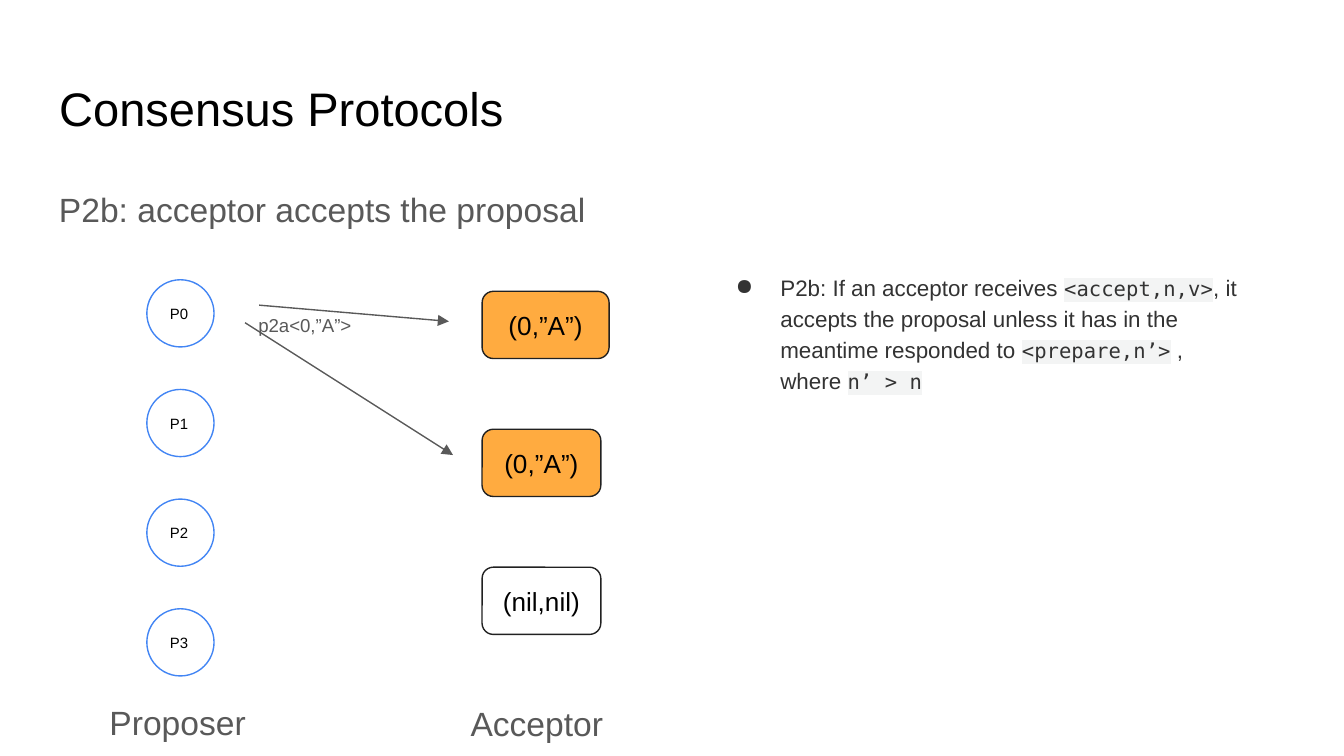
from lxml.etree import SubElement
from pptx import Presentation
from pptx.dml.color import RGBColor
from pptx.enum.shapes import MSO_CONNECTOR, MSO_SHAPE
from pptx.enum.text import MSO_ANCHOR, MSO_AUTO_SIZE, PP_ALIGN
from pptx.oxml import parse_xml
from pptx.oxml.ns import nsdecls, qn
from pptx.util import Pt

COLORS = {
    "black": "000000",
    "white": "FFFFFF",
    "gray": "595959",
    "dark": "333333",
    "outline": "212121",
    "blue": "4285F4",
    "orange": "FFAB40",
    "code": "F3F4F4",
}


def rgb(name):
    return RGBColor.from_string(COLORS[name])


def write(shape, text, size=18, color="gray", font="Arial", align=PP_ALIGN.LEFT,
          anchor=MSO_ANCHOR.TOP, highlight=None):
    """Append a formatted run to the first paragraph of a shape."""
    frame = shape.text_frame
    frame.auto_size = MSO_AUTO_SIZE.NONE
    frame.word_wrap = True
    frame.vertical_anchor = anchor
    frame.margin_left = frame.margin_right = Pt(7.2)
    frame.margin_top = frame.margin_bottom = Pt(7.2)
    paragraph = frame.paragraphs[0]
    paragraph.alignment = align
    run = paragraph.add_run()
    run.text = text
    run.font.size = Pt(size)
    run.font.name = font
    run.font.color.rgb = rgb(color)
    if highlight:
        run.font.fill._xPr.find(qn("a:solidFill")).addnext(parse_xml(
            f'<a:highlight {nsdecls("a")}><a:srgbClr val="{COLORS[highlight]}"/></a:highlight>'))
    return paragraph


presentation = Presentation()
presentation.slide_width = Pt(720)
presentation.slide_height = Pt(405)
slide = presentation.slides.add_slide(presentation.slide_layouts[5])
shapes = slide.shapes

# Title
title = shapes.title
title.left, title.top, title.width, title.height = Pt(24.5), Pt(35.4), Pt(671), Pt(45)
write(title, "Consensus Protocols", size=25.2, color="black")

# Subtitle
subtitle = shapes.add_textbox(Pt(24.5), Pt(90.6), Pt(671), Pt(36))
write(subtitle, "P2b: acceptor accepts the proposal").line_spacing = 1.15

# Proposers and acceptors: shape kind, left, top, width, fill, outline, text, size, alignment
nodes = [
    (MSO_SHAPE.OVAL, 78.7, 149.9 + 58.75 * row, 36, "white", "blue", f"P{row}", 8, PP_ALIGN.LEFT)
    for row in range(4)
]
acceptors = [("(0,”A”)", 68, "orange"), ("(0,”A”)", 63.6, "orange"), ("(nil,nil)", 63.6, "white")]
nodes += [
    (MSO_SHAPE.ROUNDED_RECTANGLE, 258.3, 156.1 + 73.9 * row, width, fill, "outline", text, 14,
     PP_ALIGN.CENTER)
    for row, (text, width, fill) in enumerate(acceptors)
]
for kind, left, top, width, fill, outline, text, size, align in nodes:
    node = shapes.add_shape(kind, Pt(left), Pt(top), Pt(width), Pt(36))
    node.shadow.inherit = False
    node.fill.solid()
    node.fill.fore_color.rgb = rgb(fill)
    node.line.color.rgb = rgb(outline)
    node.line.width = Pt(0.75)
    write(node, text, size=size, color="black", align=align, anchor=MSO_ANCHOR.MIDDLE)

# Message arrows
for start_x, start_y, end_x, end_y in [(131.3, 172.9, 242.7, 243.8), (138.8, 163.5, 240.5, 172.2)]:
    arrow = shapes.add_connector(
        MSO_CONNECTOR.STRAIGHT, Pt(start_x), Pt(start_y), Pt(end_x), Pt(end_y))
    arrow.line.color.rgb = rgb("gray")
    arrow.line.width = Pt(0.75)
    SubElement(arrow.line._get_or_add_ln(), qn("a:tailEnd"), type="triangle")
    SubElement(arrow._element.spPr, qn("a:effectLst"))

# Message and column labels
for text, left, top, width, height, size in [
    ("p2a<0,”A”>", 131.3, 160.7, 75, 27, 10),
    ("Proposer", 51.6, 368.7, 91, 36, 18),
    ("Acceptor", 245, 369.2, 91, 36, 18),
]:
    label = shapes.add_textbox(Pt(left), Pt(top), Pt(width), Pt(height))
    write(label, text, size=size)

# Explanation bullet
explanation = shapes.add_textbox(Pt(375), Pt(137.7), Pt(299), Pt(79))
paragraph = explanation.text_frame.paragraphs[0]
properties = paragraph._p.get_or_add_pPr()
properties.set("marL", str(Pt(36)))
properties.set("indent", str(-Pt(24)))
bullet_color = SubElement(properties, qn("a:buClr"))
SubElement(bullet_color, qn("a:srgbClr"), val=COLORS["dark"])
SubElement(properties, qn("a:buChar"), char="●")
paragraph.line_spacing = 1.15
plain = {"size": 12, "color": "dark"}
code = {"size": 11, "color": "dark", "font": "DejaVu Sans Mono", "highlight": "code"}
for text, style in [
    ("P2b: If an acceptor receives ", plain),
    ("<accept,n,v>", code),
    (", it accepts the proposal unless it has in the meantime responded to ", plain),
    ("<prepare,n’>", code),
    (" , where ", plain),
    ("n’ > n", code),
]:
    write(explanation, text, **style)

presentation.save("out.pptx")
